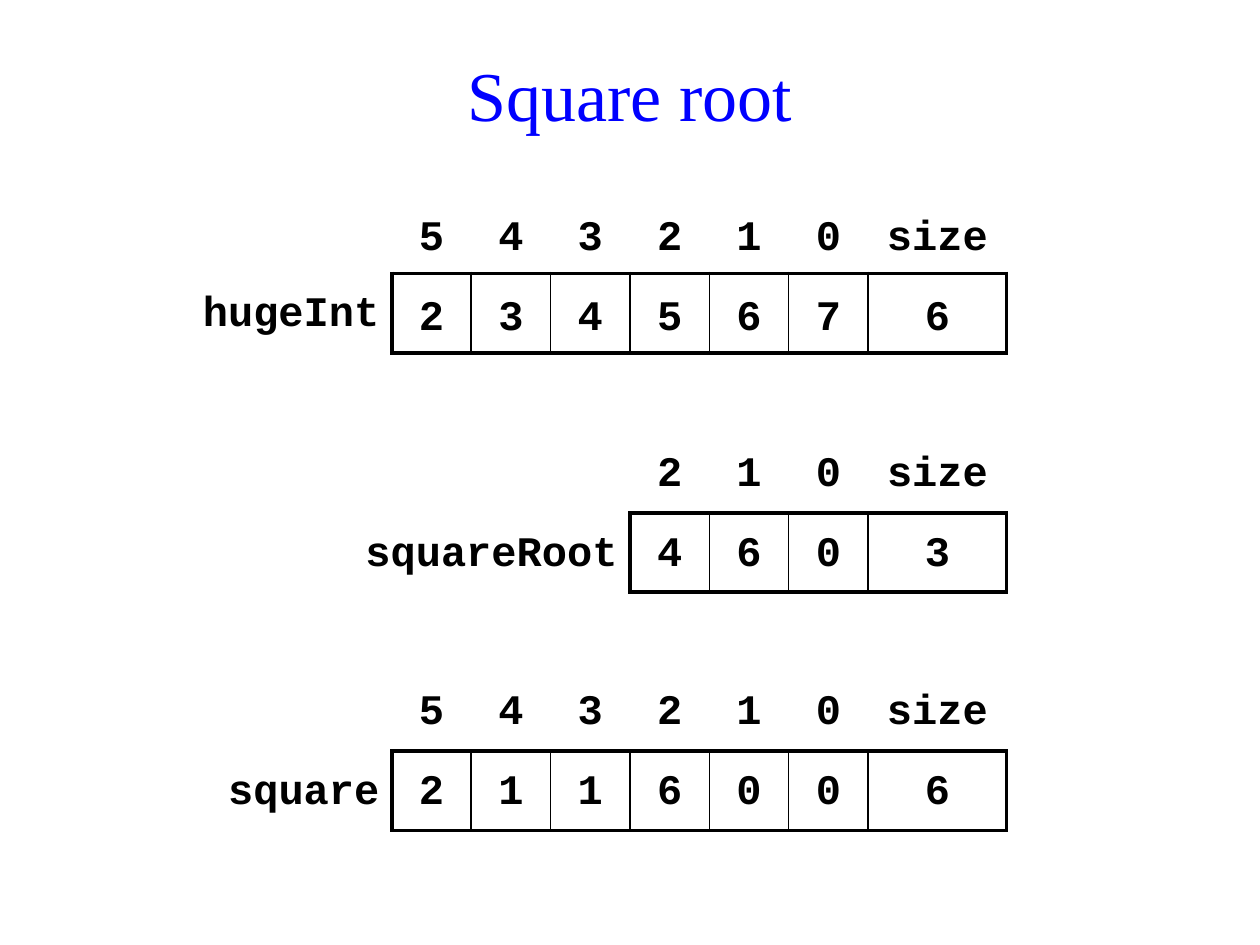
from dataclasses import dataclass

from lxml import etree
from pptx import Presentation
from pptx.dml.color import RGBColor
from pptx.enum.text import MSO_ANCHOR, PP_ALIGN
from pptx.oxml.ns import qn
from pptx.util import Emu, Pt

CENTER, RIGHT = PP_ALIGN.CENTER, PP_ALIGN.RIGHT
TOP, MIDDLE = MSO_ANCHOR.TOP, MSO_ANCHOR.MIDDLE

PX = 9144  # EMU per px: 100 px to the inch
NO_STYLE = "{2D5ABB26-0587-4C30-8999-92F81FD0307C}"

# Arrays share their right edge and cell sizes
RIGHT_EDGE, CELL, SIZE_W = 799, 63, 110


@dataclass(frozen=True)
class Theme:
    title_font: str = "Times New Roman"
    title_size: int = 40
    title_color: str = "0000FF"
    code_font: str = "Courier New"
    code_size: int = 24
    ink: str = "000000"
    frame: float = 2.25
    divider: float = 1


THEME = Theme()

# name, top, label width, digits, anchor
ARRAYS = [
    ("hugeInt", 154, 173, "234567", MIDDLE),
    ("squareRoot", 344, 220, "460", TOP),
    ("square", 533, 142, "211600", TOP),
]


def px(n):
    return Emu(n * PX)


def style_font(p, name, size, color, bold=False):
    p.font.name = name
    p.font.size = Pt(size)
    p.font.bold = bold
    p.font.color.rgb = RGBColor.from_string(color)


def add_title(slide, text):
    sp = slide.shapes.title
    sp.left, sp.top, sp.width, sp.height = px(59), px(28), px(882), px(93)
    tf = sp.text_frame
    tf.text = text
    tf.vertical_anchor = MIDDLE
    p = tf.paragraphs[0]
    p.alignment = CENTER
    style_font(p, THEME.title_font, THEME.title_size, THEME.title_color)


def set_borders(cell, **widths):
    """Draw the given sides (L, R, T, B) with widths in points."""
    tc_pr = cell._tc.get_or_add_tcPr()
    for side in "LRTB":
        if side in widths:
            ln = etree.SubElement(tc_pr, qn(f"a:ln{side}"), w=str(Pt(widths[side])))
            fill = etree.SubElement(ln, qn("a:solidFill"))
            etree.SubElement(fill, qn("a:srgbClr"), val=THEME.ink)


def write_cell(cell, text, align, anchor):
    cell.text = text
    cell.vertical_anchor = anchor
    p = cell.text_frame.paragraphs[0]
    p.alignment = align
    p.line_spacing = 1.25
    style_font(p, THEME.code_font, THEME.code_size, THEME.ink, bold=True)


def add_array(slide, name, top, label_w, digits, anchor):
    n = len(digits)
    widths = [label_w] + [CELL] * n + [SIZE_W]
    headers = [str(i) for i in reversed(range(n))] + ["size"]
    values = list(digits) + [str(n)]

    total = sum(widths)
    frame = slide.shapes.add_table(2, len(widths), px(RIGHT_EDGE - total), px(top),
                                   px(total), px(2 * CELL))
    table = frame.table
    table.first_row = table.horz_banding = False
    table._tbl.tblPr.find(qn("a:tableStyleId")).text = NO_STYLE
    for column, width in zip(table.columns, widths):
        column.width = px(width)

    # Array name
    label = table.cell(1, 0)
    write_cell(label, name, RIGHT, TOP)
    set_borders(label, R=THEME.frame)

    # Indexes above the framed values
    for col, (header, value) in enumerate(zip(headers, values), start=1):
        write_cell(table.cell(0, col), header, CENTER, anchor)
        cell = table.cell(1, col)
        write_cell(cell, value, CENTER, anchor)
        set_borders(cell, T=THEME.frame, B=THEME.frame,
                    L=THEME.frame if col == 1 else THEME.divider,
                    R=THEME.frame if col == n + 1 else THEME.divider)

    for cell in table.iter_cells():
        cell.fill.background()


def main():
    prs = Presentation()
    prs.slide_width, prs.slide_height = px(1000), px(750)
    slide = prs.slides.add_slide(prs.slide_layouts[5])
    add_title(slide, "Square root")
    for array in ARRAYS:
        add_array(slide, *array)
    prs.save("out.pptx")


if __name__ == "__main__":
    main()
